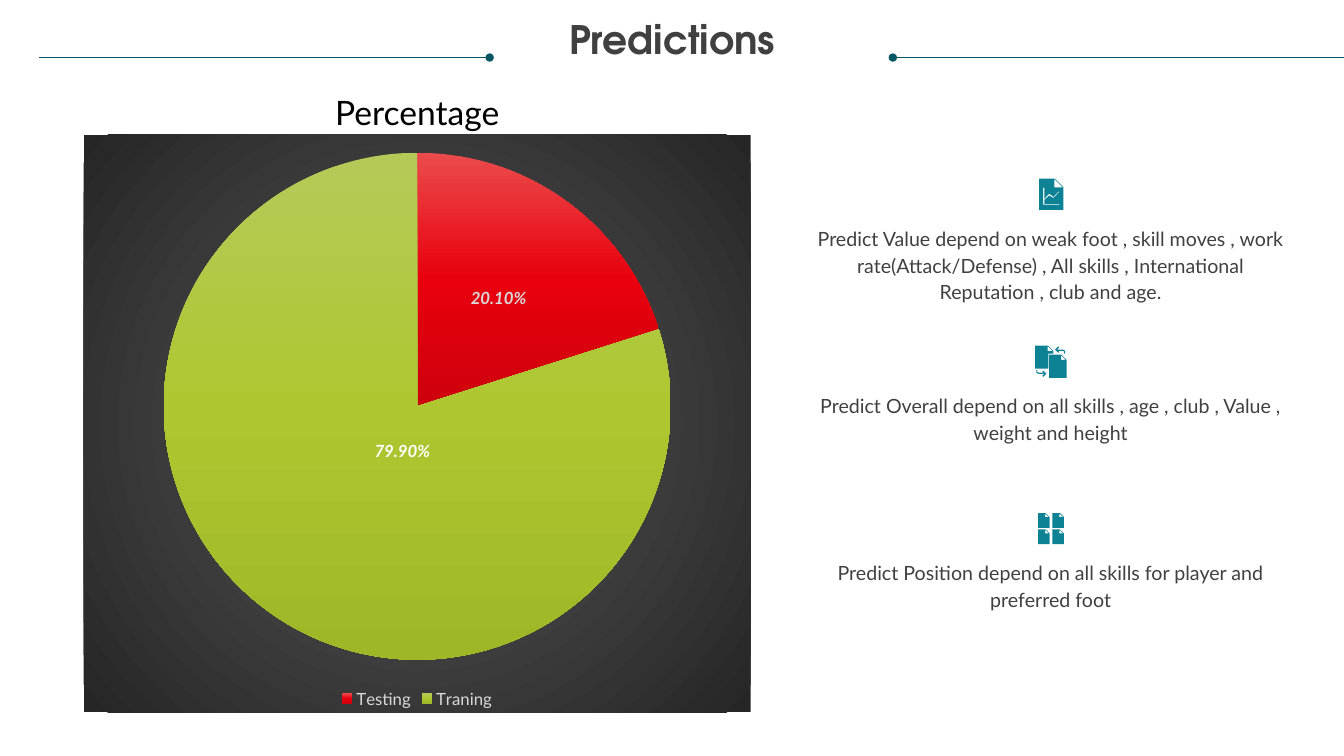
import pptx
import pptx.chart.data
import pptx.dml.color
import pptx.enum.chart
import pptx.enum.shapes
import pptx.enum.text
import pptx.oxml
import pptx.oxml.ns
import pptx.util

Cm = pptx.util.Cm
Pt = pptx.util.Pt
CENTER = pptx.enum.text.PP_ALIGN.CENTER

COLORS = {
    "title": "404040",
    "heading": "000000",
    "line": "085764",
    "icon": "0D8295",
    "label": "D9D9D9",
    "white": "FFFFFF",
}
BACKDROP = [(0, "595959"), (100, "262626")]
SLICES = [
    [(0, "EB4B4C"), (50, "E8000E"), (100, "CE000C")],
    [(0, "B4CA58"), (50, "AEC731"), (100, "9EB726")],
]
LABEL_SHIFTS = [(0.01, -0.01, "label"), (0.09, -0.1, "white")]
PREDICTIONS = [
    (5.64, 2.03, "Predict Value depend on weak foot , skill moves , work rate(Attack/Defense) , "
                 "All skills , International Reputation , club and age."),
    (9.86, 1.35, "Predict Overall depend on all skills , age , club , Value , weight and height"),
    (14.07, 1.3, "Predict Position depend on all skills for player and preferred foot"),
]
TREND = [(0.1, 0.66), (0.1, 0.23), (0.13, 0.23), (0.13, 0.51), (0.25, 0.38), (0.36, 0.46),
         (0.48, 0.33), (0.51, 0.33), (0.36, 0.49), (0.25, 0.43), (0.13, 0.54), (0.13, 0.64),
         (0.51, 0.64), (0.51, 0.66)]
ARROW = [(0, 0), (0.08, 0.08), (0.1, 0.05), (0.05, 0.03), (0.2, 0.03), (0.23, 0.05), (0.23, 0.1),
         (0.25, 0.1), (0.25, 0.03), (0.2, 0), (0.05, 0), (0.1, -0.05), (0.08, -0.08)]


def rgb(name):
    return pptx.dml.color.RGBColor.from_string(COLORS[name])


def xml(tag, attributes="", inner=""):
    spaces = pptx.oxml.ns.nsdecls("a", "c")
    return pptx.oxml.parse_xml(f"<{tag} {spaces} {attributes}>{inner}</{tag}>")


def set_font(font, color, **values):
    for name, value in values.items():
        setattr(font, name, value)
    font.color.rgb = rgb(color)


def place(shape, left, top, width, height):
    for name, value in zip(("left", "top", "width", "height"), (left, top, width, height)):
        setattr(shape, name, Cm(value))


def write(shape, text, color, spacing, inset=0, **font):
    frame = shape.text_frame
    values = dict.fromkeys(("margin_left", "margin_top", "margin_right", "margin_bottom"), Cm(inset))
    values.update(word_wrap=True, auto_size=pptx.enum.text.MSO_AUTO_SIZE.NONE,
                  vertical_anchor=pptx.enum.text.MSO_ANCHOR.TOP)
    for name, value in values.items():
        setattr(frame, name, value)
    para = frame.paragraphs[0]
    para.alignment = CENTER
    para.line_spacing = spacing
    span = para.add_run()
    span.text = text
    set_font(span.font, color, **font)


def add_text(page, bounds, *args, **font):
    box = page.shapes.add_textbox(*map(Cm, bounds))
    write(box, *args, **font)


def add_rule(page, start, end, dotted_end):
    height = Cm(1.45)
    rule = page.shapes.add_connector(
        pptx.enum.shapes.MSO_CONNECTOR.STRAIGHT, Cm(start), height, Cm(end), height)
    rule.line.color.rgb = rgb("line")
    rule.line.width = Pt(0.5)
    rule.line._get_or_add_ln().append(xml(dotted_end, 'type="oval"'))
    rule.element.spPr.append(xml("a:effectLst"))


def add_outline(page, left, top, contours):
    placed = [[(Cm(left + x), Cm(top + y)) for x, y in contour] for contour in contours]
    builder = page.shapes.build_freeform(*placed[0][0])
    builder.add_line_segments(placed[0][1:])
    for contour in placed[1:]:
        builder.move_to(*contour[0])
        builder.add_line_segments(contour[1:])
    outline = builder.convert_to_shape()
    outline.shadow.inherit = False
    outline.fill.solid()
    outline.fill.fore_color.rgb = rgb("icon")
    outline.line.fill.background()


def add_sheet(page, left, top, width, height, fold, corner=None, holes=()):
    body = [(0, 0), (width - fold, 0), (width, fold), *(corner or [(width, height)]), (0, height)]
    edge = width - fold - 0.01
    flap = [(edge, 0.01), (edge, fold), (width - 0.02, fold)]
    add_outline(page, left, top, [body, flap, *holes])


def add_icons(page):
    add_sheet(page, 26.19, 4.5, 0.61, 0.79, 0.22, holes=[TREND])
    add_sheet(page, 26.09, 8.71, 0.46, 0.58, 0.14,
              corner=[(0.46, 0.2), (0.33, 0.2), (0.33, 0.58)])
    add_sheet(page, 26.44, 8.94, 0.44, 0.58, 0.13)
    for left, top, turn in ((26.59, 8.81, 1), (26.37, 9.42, -1)):
        add_outline(page, left, top, [[(turn * x, turn * y) for x, y in ARROW]])
    for row in range(2):
        for column in range(2):
            add_sheet(page, 26.16 + 0.36 * column, 12.93 + 0.41 * row, 0.29, 0.37, 0.1)


def gradient(stops, direction):
    marks = "".join(f'<a:gs pos="{position * 1000}"><a:srgbClr val="{color}"/></a:gs>'
                    for position, color in stops)
    return xml("a:gradFill", 'rotWithShape="1"', f"<a:gsLst>{marks}</a:gsLst>{direction}")


def manual_layout(inner="", **values):
    parts = "".join(f'<c:{name} val="{value}"/>' for name, value in values.items())
    return xml("c:layout", "", f"<c:manualLayout>{inner}{parts}</c:manualLayout>")


def add_pie(page):
    data = pptx.chart.data.CategoryChartData(number_format="0.00%")
    data.categories = ["Testing", "Traning"]
    data.add_series("Series 1", (0.201, 0.799))
    bounds = map(Cm, (2.11, 3.4, 16.81, 14.55))
    chart = page.shapes.add_chart(pptx.enum.chart.XL_CHART_TYPE.PIE, *bounds, data).chart
    set_font(chart.font, "heading", size=Pt(10), name="Lato")
    chart.has_title = False
    chart.has_legend = True
    chart.legend.position = pptx.enum.chart.XL_LEGEND_POSITION.BOTTOM
    chart.legend.include_in_layout = False
    set_font(chart.legend.font, "label", size=Pt(12), name="Lato")

    pie = chart.plots[0]
    pie.vary_by_categories = True
    for index, (across, down, color) in enumerate(LABEL_SHIFTS):
        point = pie.series[0].points[index]
        point.format.line.fill.background()
        label = point.data_label
        set_font(label.font, color, size=Pt(12), name="Lato", bold=True, italic=True)
        label.position = pptx.enum.chart.XL_LABEL_POSITION.CENTER
        mark = chart.element.xpath(".//c:dLbl/c:idx")[index]
        mark.addnext(xml("c:numFmt", 'formatCode="0.00%" sourceLinked="0"'))
        mark.addnext(manual_layout(x=across, y=down))
    for properties, stops in zip(chart.element.xpath(".//c:dPt/c:spPr"), SLICES):
        properties.insert(0, gradient(stops, '<a:lin ang="5400000" scaled="0"/>'))

    area = chart.element.xpath(".//c:plotArea")[0]
    for old in area.xpath("./c:layout"):
        area.remove(old)
    area.insert(0, manual_layout(
        '<c:layoutTarget val="inner"/><c:xMode val="edge"/><c:yMode val="edge"/>',
        x=0.12, y=0.03, w=0.76, h=0.88))
    backdrop = xml("c:spPr", "", "<a:ln><a:noFill/></a:ln>")
    backdrop.insert(0, gradient(
        BACKDROP,
        '<a:path path="circle"><a:fillToRect l="50000" t="50000" r="50000" b="50000"/></a:path>'))
    chart.element.xpath("./c:chart")[0].addnext(backdrop)


def main():
    deck = pptx.Presentation()
    deck.slide_width, deck.slide_height = Cm(33.87), Cm(19.05)
    page = deck.slides.add_slide(deck.slide_layouts[5])
    title = page.shapes.title
    place(title, 0.64, 0.53, 32.59, 1.85)
    write(title, "Predictions", "title", 0.9, size=Pt(28), name="TeX Gyre Adventor", bold=True)
    add_text(page, (2.11, 2.29, 16.81, 1.78), "Percentage", "heading", 0.9, 0.13,
             size=Pt(24), name="Lato")
    add_rule(page, 22.5, 33.87, "a:headEnd")
    add_rule(page, 0.99, 12.34, "a:tailEnd")
    for top, height, text in PREDICTIONS:
        add_text(page, (20.55, top, 11.86, height), text, "title", Pt(19),
                 size=Pt(14), name="Lato")
    add_icons(page)
    add_pie(page)
    deck.save("out.pptx")


if __name__ == "__main__":
    main()
